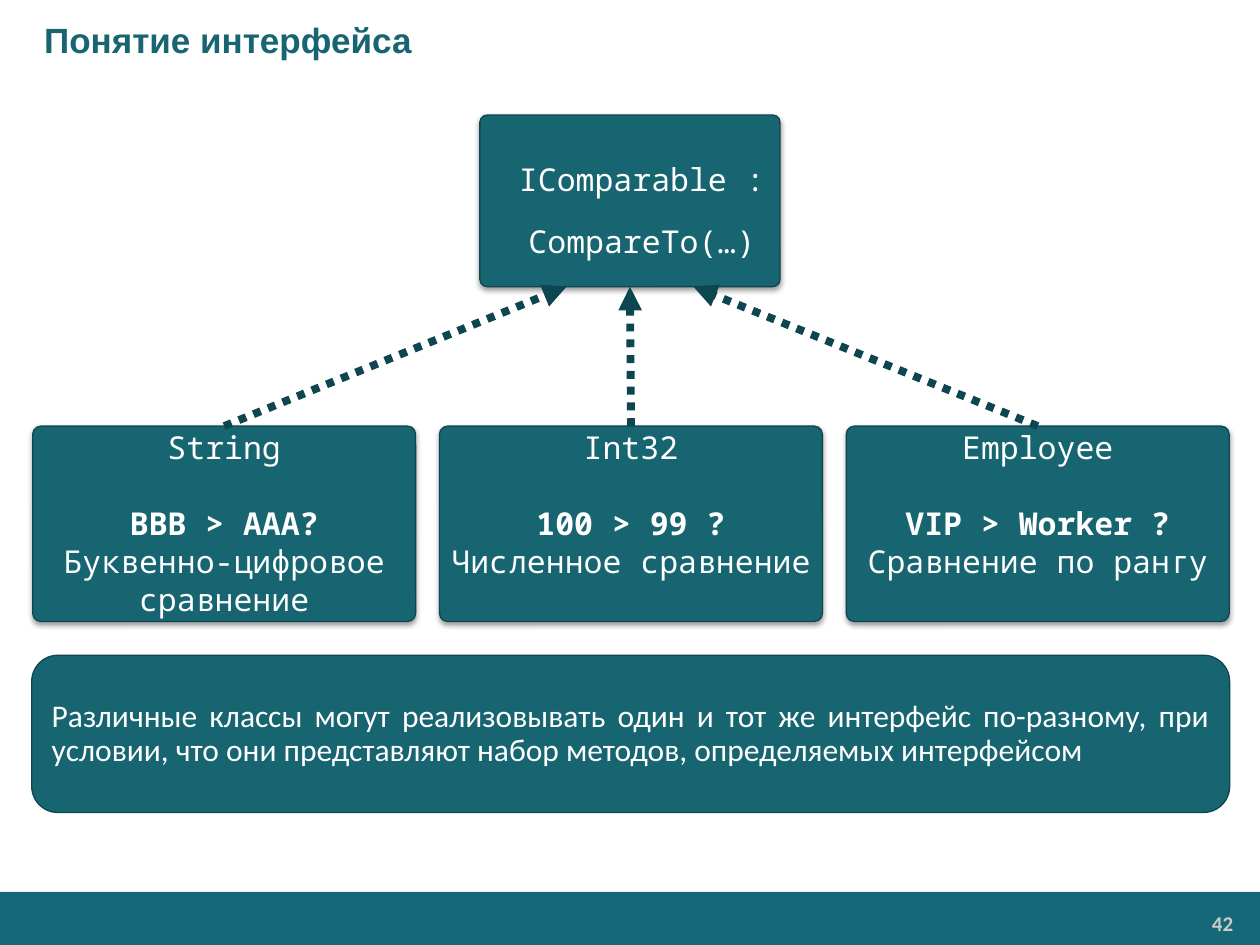
"""Build the slide on the concept of an interface and its implementations."""
from lxml.etree import SubElement
from pptx import Presentation
from pptx.dml.color import RGBColor
from pptx.enum.dml import MSO_LINE
from pptx.enum.shapes import MSO_CONNECTOR, MSO_SHAPE
from pptx.enum.text import MSO_ANCHOR, PP_ALIGN
from pptx.oxml.ns import qn
from pptx.util import Cm, Pt

COLORS = {"teal": "176571", "edge": "0D4650", "footer": "146878",
          "white": "FFFFFF", "number": "CCCCCC", "shadow": "000000"}
TITLE = "Понятие интерфейса"
INTERFACE = "IComparable :\vCompareTo(…)"
CLASSES = [
    ("String", "BBB > AAA?", "Буквенно-цифровое сравнение"),
    ("Int32", "100 > 99 ?", "Численное сравнение"),
    ("Employee", "VIP > Worker ?", "Сравнение по рангу"),
]
SUMMARY = ("Различные классы могут реализовывать один и тот же интерфейс по-разному, "
           "при условии, что они представляют набор методов, определяемых интерфейсом")
PAGE_NUMBER = "42"

SLIDE_WIDTH, SLIDE_HEIGHT = 25.4, 19.05
CENTER = SLIDE_WIDTH / 2
INTERFACE_TOP, INTERFACE_WIDTH, INTERFACE_HEIGHT = 2.32, 6.05, 3.46
CLASS_LEFT, CLASS_TOP, CLASS_WIDTH, CLASS_HEIGHT = 0.66, 8.59, 7.72, 3.94
CLASS_PITCH, ARROW_SPREAD = 8.2, 1.28
CARD_INSETS = (0, 0, 0, 0.13)
TEXT_INSETS = (0.25, 0.13, 0.25, 0.13)
CARD_CORNER = 0.042
MONO = {"name": "Noto Sans Mono", "size": Pt(18), "bold": False}


def color(name):
    return RGBColor.from_string(COLORS[name])


def add_paragraph(frame, text, font, fill="white", indent=0, **layout):
    first = frame.paragraphs[0]
    paragraph = first if not first.runs else frame.add_paragraph()
    paragraph.text = text
    if indent:
        properties = paragraph._p.get_or_add_pPr()
        properties.set("marL", str(Cm(indent)))
        properties.set("indent", "0")
    for name, value in layout.items():
        setattr(paragraph, name, value)
    for run in paragraph.runs:
        for name, value in font.items():
            setattr(run.font, name, value)
        run.font.color.rgb = color(fill)


def prepare_frame(shape, insets, anchor):
    frame = shape.text_frame
    frame.word_wrap = True
    frame.vertical_anchor = anchor
    for side, inset in zip(("left", "top", "right", "bottom"), insets):
        setattr(frame, f"margin_{side}", Cm(inset))
    return frame


def add_text_box(slide, place, insets, anchor):
    return prepare_frame(slide.shapes.add_textbox(*map(Cm, place)), insets, anchor)


def add_box(slide, kind, place, fill="teal", edge="edge", corner=None):
    shape = slide.shapes.add_shape(kind, *map(Cm, place))
    shape.shadow.inherit = False
    shape.fill.solid()
    shape.fill.fore_color.rgb = color(fill)
    if edge:
        shape.line.color.rgb = color(edge)
        shape.line.width = Pt(0.75)
    else:
        shape.line.fill.background()
    if corner:
        shape.adjustments[0] = corner
    return shape


def add_card(slide, place):
    card = add_box(slide, MSO_SHAPE.ROUNDED_RECTANGLE, place, corner=CARD_CORNER)
    effects = card._element.spPr.find(qn("a:effectLst"))
    shadow = SubElement(effects, qn("a:outerShdw"), blurRad=str(Pt(3.1)),
                        dist=str(Pt(1.6)), dir="5400000", rotWithShape="0")
    tint = SubElement(shadow, qn("a:srgbClr"), val=COLORS["shadow"])
    SubElement(tint, qn("a:alpha"), val="38000")
    return card


def add_arrow(slide, card, interface, target_x):
    target_y = INTERFACE_TOP + INTERFACE_HEIGHT
    arrow = slide.shapes.add_connector(
        MSO_CONNECTOR.STRAIGHT, card.left + card.width // 2, card.top,
        Cm(target_x), Cm(target_y))
    arrow.begin_connect(card, 0)
    if target_x == CENTER:
        arrow.end_connect(interface, 2)
    arrow.line.color.rgb = color("edge")
    arrow.line.width = Pt(4.5)
    arrow.line.dash_style = MSO_LINE.ROUND_DOT
    SubElement(arrow.line._get_or_add_ln(), qn("a:tailEnd"), type="triangle")
    SubElement(arrow._element.spPr, qn("a:effectLst"))


def main():
    presentation = Presentation()
    presentation.slide_width, presentation.slide_height = Cm(SLIDE_WIDTH), Cm(SLIDE_HEIGHT)
    slide = presentation.slides.add_slide(presentation.slide_layouts[6])

    add_box(slide, MSO_SHAPE.RECTANGLE, (0, 17.98, SLIDE_WIDTH, 1.07), "footer", None)
    number = add_text_box(slide, (20.9, 18.26, 4.14, 0.71), (0.18, 0.1, 0.18, 0.1), MSO_ANCHOR.TOP)
    add_paragraph(number, PAGE_NUMBER, {"name": "Calibri", "size": Pt(12), "bold": True},
                  "number", alignment=PP_ALIGN.RIGHT)
    title = add_text_box(slide, (0, 0, SLIDE_WIDTH, 1.6), TEXT_INSETS, MSO_ANCHOR.MIDDLE)
    add_paragraph(title, TITLE, {"name": "Arial", "size": Pt(20), "bold": True},
                  "teal", indent=0.64, alignment=PP_ALIGN.LEFT)

    interface = add_card(slide, (CENTER - INTERFACE_WIDTH / 2, INTERFACE_TOP,
                                 INTERFACE_WIDTH, INTERFACE_HEIGHT))
    add_paragraph(prepare_frame(interface, CARD_INSETS, MSO_ANCHOR.MIDDLE), INTERFACE, MONO,
                  indent=0.48, alignment=PP_ALIGN.CENTER, line_spacing=1.65)

    cards = []
    for index, (name, example, meaning) in enumerate(CLASSES):
        card = add_card(slide, (CLASS_LEFT + index * CLASS_PITCH, CLASS_TOP,
                                CLASS_WIDTH, CLASS_HEIGHT))
        frame = prepare_frame(card, CARD_INSETS, MSO_ANCHOR.TOP)
        add_paragraph(frame, name, MONO, alignment=PP_ALIGN.CENTER)
        add_paragraph(frame, example, {**MONO, "bold": True},
                      alignment=PP_ALIGN.CENTER, space_before=Pt(21.7))
        add_paragraph(frame, meaning, MONO, alignment=PP_ALIGN.CENTER)
        cards.append(card)

    summary = add_box(slide, MSO_SHAPE.ROUNDED_RECTANGLE, (0.64, 13.21, 24.15, 3.17))
    add_paragraph(prepare_frame(summary, TEXT_INSETS, MSO_ANCHOR.MIDDLE), SUMMARY,
                  {"name": "Calibri", "size": Pt(18)},
                  alignment=PP_ALIGN.JUSTIFY, line_spacing=0.9)

    for index, card in enumerate(cards):
        add_arrow(slide, card, interface, CENTER + (index - 1) * ARROW_SPREAD)

    presentation.save("out.pptx")


if __name__ == "__main__":
    main()
